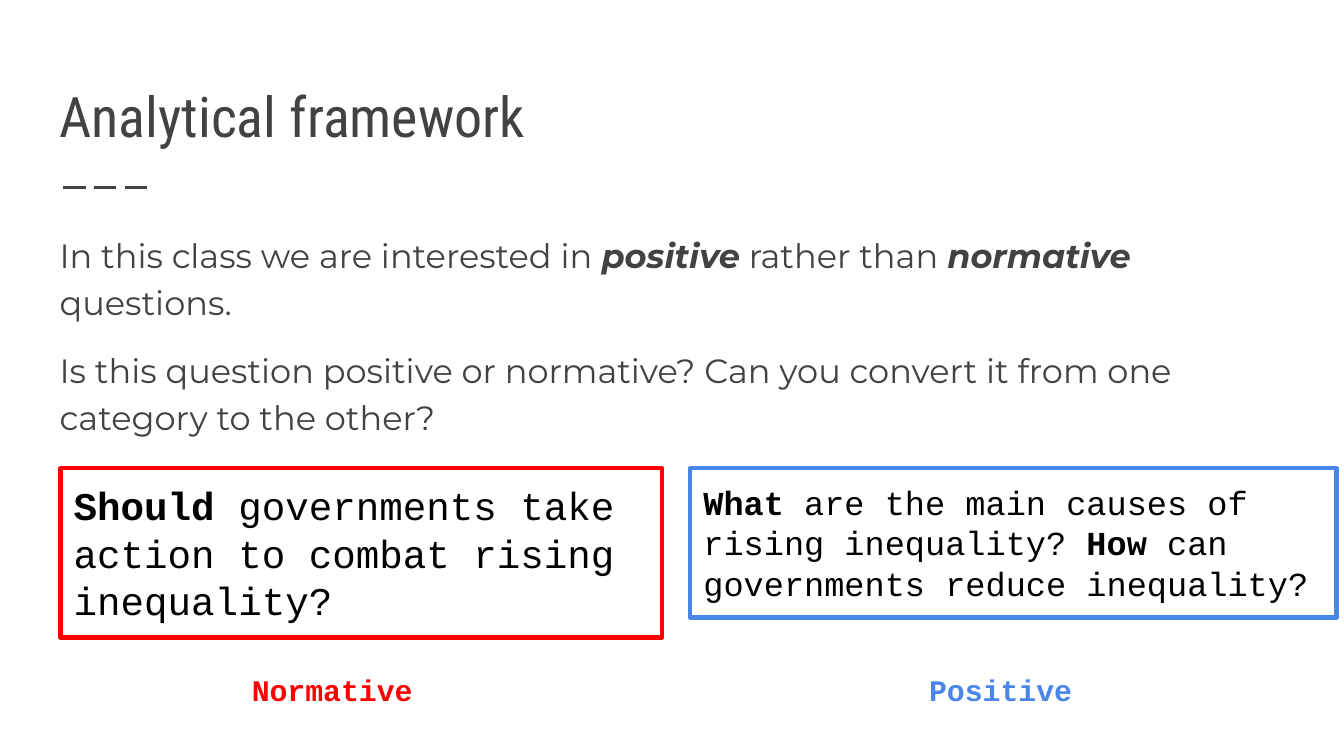
from lxml import etree
from pptx import Presentation
from pptx.dml.color import RGBColor
from pptx.enum.dml import MSO_LINE
from pptx.enum.shapes import MSO_CONNECTOR, MSO_SHAPE
from pptx.enum.text import MSO_ANCHOR, PP_ALIGN
from pptx.oxml.ns import qn
from pptx.util import Emu, Pt

PX = 4572  # 200 px to the inch
SLIDE_SIZE = (2000, 1125)
INSET = 20
BLANK_LAYOUT = 6

RECTANGLE = MSO_SHAPE.RECTANGLE
STRAIGHT = MSO_CONNECTOR.STRAIGHT
LONG_DASH = MSO_LINE.LONG_DASH
TOP, BOTTOM = MSO_ANCHOR.TOP, MSO_ANCHOR.BOTTOM
LEFT = PP_ALIGN.LEFT

COLORS = {
    "background": "FFFFFF",
    "gray": "424242",
    "black": "000000",
    "red": "FF0000",
    "blue": "4A86E8",
}

# Each paragraph is a list of (text, style); styles are "", "b" or "bi".
TITLE = [[("Analytical framework", "")]]
BODY = [
    [
        ("In this class we are interested in ", ""),
        ("positive", "bi"),
        (" rather than ", ""),
        ("normative", "bi"),
        (" questions.", ""),
    ],
    [("Is this question positive or normative? "
      "Can you convert it from one category to the other?", "")],
]
QUESTIONS = [
    {
        "box": (90, 697, 895, 252),
        "size": 21,
        "color": "red",
        "text": [[
            ("Should", "b"),
            (" governments take action to combat rising inequality?", ""),
        ]],
        "label": "Normative",
        "label_left": 355,
    },
    {
        "box": (1027, 697, 962, 222),
        "size": 18,
        "color": "blue",
        "text": [[
            ("What", "b"),
            (" are the main causes of rising inequality? ", ""),
            ("How", "b"),
            (" can governments reduce inequality?", ""),
        ]],
        "label": "Positive",
        "label_left": 1363,
    },
]

TITLE_BOX = (69, 82, 1864, 160)
BODY_BOX = (69, 321, 1864, 678)
DASHES = (94, 279, 228, 279)
LABEL_TOP, LABEL_WIDTH, LABEL_HEIGHT = 979, 292, 94


def px(*lengths):
    return [Emu(length * PX) for length in lengths]


def rgb(name):
    return RGBColor.from_string(COLORS[name])


def write(shape, paragraphs, font, size, color, anchor=TOP, line_spacing=1.0, gap=0):
    """Fill a shape with styled runs; gap is the space in points between paragraphs."""
    frame = shape.text_frame
    frame.word_wrap = True
    frame.vertical_anchor = anchor
    inset = Emu(INSET * PX)
    frame.margin_left = frame.margin_right = inset
    frame.margin_top = frame.margin_bottom = inset
    for index, runs in enumerate(paragraphs):
        paragraph = frame.add_paragraph() if index else frame.paragraphs[0]
        paragraph.alignment = LEFT
        paragraph.line_spacing = line_spacing
        paragraph.space_before = Pt(gap if index else 0)
        for text, style in runs:
            run = paragraph.add_run()
            run.text = text
            run.font.name = font
            run.font.size = Pt(size)
            run.font.bold = "b" in style
            run.font.italic = "i" in style
            run.font.color.rgb = rgb(color)


def add_text(slide, box, paragraphs, *style, **layout):
    write(slide.shapes.add_textbox(*px(*box)), paragraphs, *style, **layout)


def add_dashes(slide):
    line = slide.shapes.add_connector(STRAIGHT, *px(*DASHES))
    line.line.color.rgb = rgb("gray")
    line.line.width = Pt(1.5)
    line.line.dash_style = LONG_DASH
    etree.SubElement(line._element.spPr, qn("a:effectLst"))


def add_question(slide, question):
    color = question["color"]
    frame = slide.shapes.add_shape(RECTANGLE, *px(*question["box"]))
    frame.shadow.inherit = False
    frame.fill.background()
    frame.line.color.rgb = rgb(color)
    frame.line.width = Pt(2.25)
    write(frame, question["text"], "Courier New", question["size"], "black")

    label_box = (question["label_left"], LABEL_TOP, LABEL_WIDTH, LABEL_HEIGHT)
    add_text(slide, label_box, [[(question["label"], "b")]], "Courier New", 16, color)


def main():
    presentation = Presentation()
    presentation.slide_width, presentation.slide_height = px(*SLIDE_SIZE)
    slide = presentation.slides.add_slide(presentation.slide_layouts[BLANK_LAYOUT])
    slide.background.fill.solid()
    slide.background.fill.fore_color.rgb = rgb("background")

    add_dashes(slide)
    add_text(slide, TITLE_BOX, TITLE, "Roboto Condensed", 30, "gray", anchor=BOTTOM)
    add_text(slide, BODY_BOX, BODY, "Montserrat", 18, "gray", line_spacing=1.15, gap=12)
    for question in QUESTIONS:
        add_question(slide, question)

    presentation.save("out.pptx")


if __name__ == "__main__":
    main()
